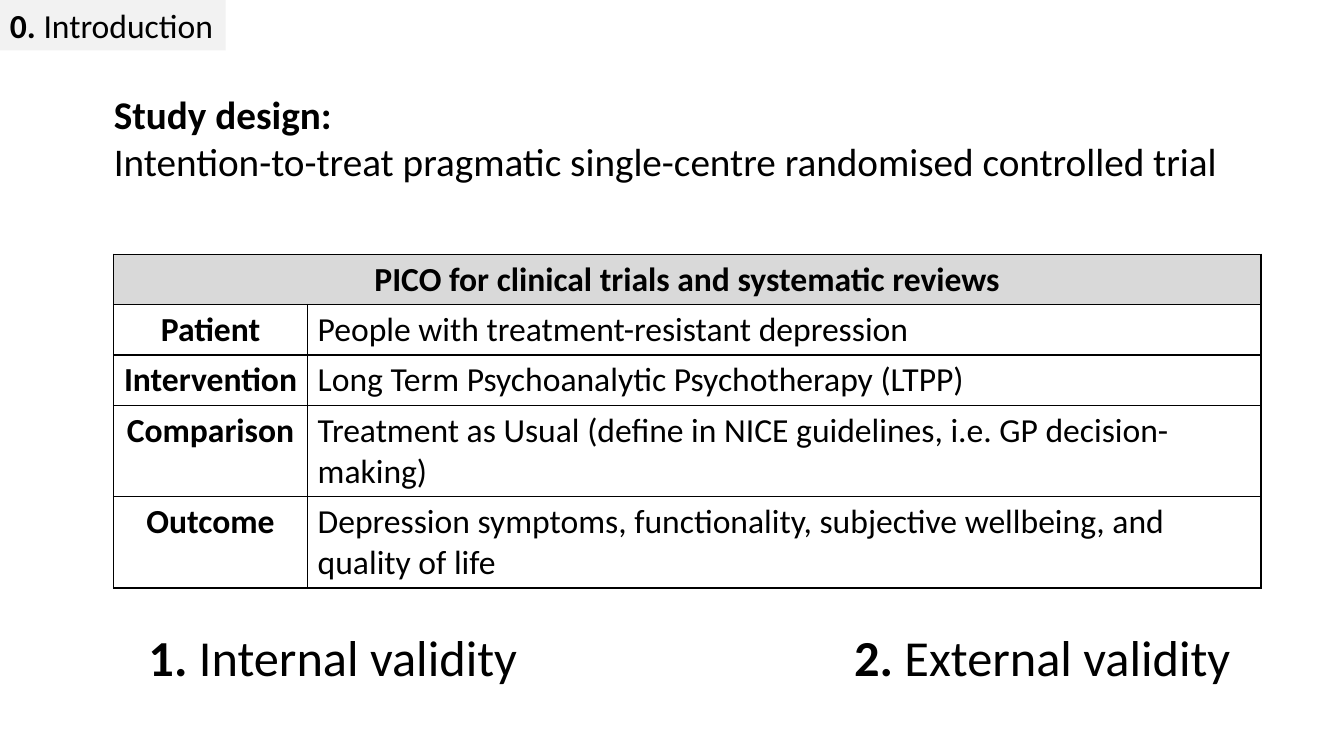
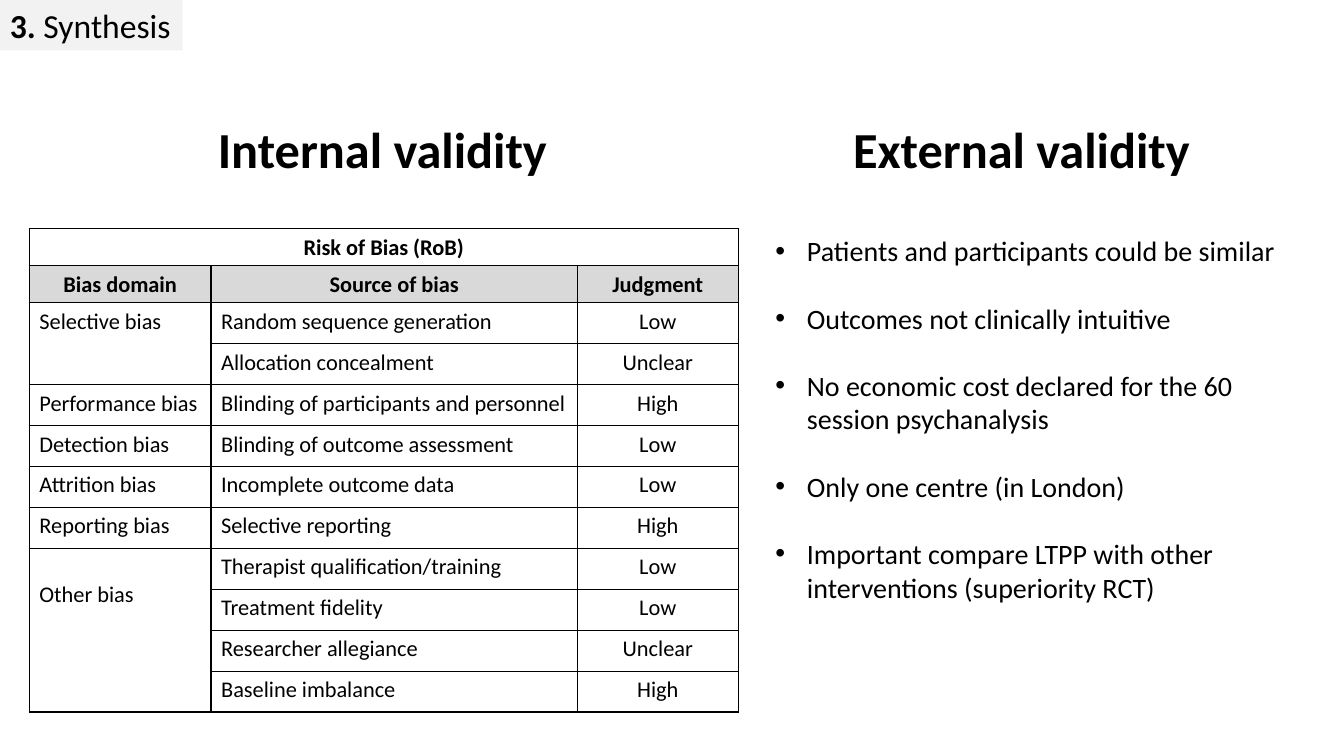
"""Builds two slides on the study design and the validity of a depression trial."""
from lxml import etree
from pptx import Presentation
from pptx import util as u
from pptx.dml.color import RGBColor
from pptx.enum import shapes, text
from pptx.oxml.ns import qn

PX = 9525
FONT = "Calibri"
BLACK, TAB_GREY, HEADER_GREY = "000000", "F2F2F2", "D9D9D9"
TAB_SIZE, HEADING_SIZE = 24, 36
HEADING_HEIGHT = 68
BULLET_INDENT = 30
BULLET_GAP = 24

INTRODUCTION = {
    "tab": ("0. ", "Introduction", 215),
    "headings": [
        ((132, 592, 385), [("1. ", True), ("Internal validity", False)]),
        ((804, 592, 392), [("2. ", True), ("External validity", False)]),
    ],
    "table": {
        "corner": (108, 242),
        "columns": [185, 908],
        "heights": [48, 48, 48, 87, 87],
        "size": 24,
        "merges": [(0, 0, 0, 1)],
        "grey_row": 0,
        "bold": lambda row, column: row == 0 or column == 0,
        "centred": lambda row, column: row == 0 or column == 0,
        "rows": [
            ("PICO for clinical trials and systematic reviews", ""),
            ("Patient", "People with treatment-resistant depression"),
            ("Intervention", "Long Term Psychoanalytic Psychotherapy (LTPP)"),
            ("Comparison", "Treatment as Usual (define in NICE guidelines, i.e. GP decision-making)"),
            ("Outcome", "Depression symptoms, functionality, subjective wellbeing, and quality of life"),
        ],
    },
}
STUDY_DESIGN = [
    [("Study design:", True)],
    [("Intention-to-treat pragmatic single-centre randomised controlled trial", False)],
]

SYNTHESIS = {
    "tab": ("3. ", "Synthesis", 174),
    "headings": [
        ((198, 108, 336), [("Internal validity", True)]),
        ((803, 108, 347), [("External validity", True)]),
    ],
    "table": {
        "corner": (28, 218),
        "columns": [173, 349, 153],
        "heights": [35] * 2 + [39] * 10,
        "size": 16,
        "merges": [(0, 0, 0, 2), (2, 0, 3, 0), (8, 0, 11, 0)],
        "grey_row": 1,
        "bold": lambda row, column: row < 2,
        "centred": lambda row, column: row < 2 or column == 2,
        "rows": [
            ("Risk of Bias (RoB)", "", ""),
            ("Bias domain", "Source of bias", "Judgment"),
            ("Selective bias", "Random sequence generation", "Low"),
            ("", "Allocation concealment", "Unclear"),
            ("Performance bias", "Blinding of participants and personnel", "High"),
            ("Detection bias", "Blinding of outcome assessment", "Low"),
            ("Attrition bias", "Incomplete outcome data", "Low"),
            ("Reporting bias", "Selective reporting", "High"),
            ("Other bias", "Therapist qualiﬁcation/training", "Low"),
            ("", "Treatment ﬁdelity", "Low"),
            ("", "Researcher allegiance", "Unclear"),
            ("", "Baseline imbalance", "High"),
        ],
    },
}
EXTERNAL_POINTS = [
    "Patients and participants could be similar",
    "Outcomes not clinically intuitive",
    "No economic cost declared for the 60 session psychanalysis",
    "Only one centre (in London)",
    "Important compare LTPP with other interventions (superiority RCT)",
]


def px(*lengths):
    return [u.Emu(length * PX) for length in lengths]


def colour(value):
    return RGBColor.from_string(value)


def style_run(run, size, bold):
    run.font.name = FONT
    run.font.size = u.Pt(size)
    run.font.bold = bold
    run.font.color.rgb = colour(BLACK)


def write(frame, lines, size, wrap=False):
    frame.word_wrap = wrap
    frame.auto_size = text.MSO_AUTO_SIZE.SHAPE_TO_FIT_TEXT
    for index, pieces in enumerate(lines):
        line = frame.paragraphs[0] if index == 0 else frame.add_paragraph()
        line.alignment = text.PP_ALIGN.LEFT
        for words, bold in pieces:
            run = line.add_run()
            run.text = words
            style_run(run, size, bold)


def add_text(slide, area, lines, size, wrap=False):
    frame = slide.shapes.add_textbox(*px(*area)).text_frame
    write(frame, lines, size, wrap)
    return frame


def add_tab(slide, number, section, width):
    tab = slide.shapes.add_shape(shapes.MSO_SHAPE.RECTANGLE, *px(0, 0, width, 48))
    tab.shadow.inherit = False
    tab.fill.solid()
    tab.fill.fore_color.rgb = colour(TAB_GREY)
    tab.line.fill.background()
    write(tab.text_frame, [[(number, True), (section, False)]], TAB_SIZE)


def add_borders(cell):
    properties = cell._tc.get_or_add_tcPr()
    for side in ("a:lnL", "a:lnR", "a:lnT", "a:lnB"):
        border = etree.SubElement(properties, qn(side), w=str(u.Pt(1)))
        fill = etree.SubElement(border, qn("a:solidFill"))
        etree.SubElement(fill, qn("a:srgbClr"), val=BLACK)


def add_table(slide, content):
    rows, columns, heights = content["rows"], content["columns"], content["heights"]
    area = px(*content["corner"], sum(columns), sum(heights))
    table = slide.shapes.add_table(len(rows), len(columns), *area).table
    table.first_row = table.horz_banding = False
    for column, width in zip(table.columns, columns):
        column.width = u.Emu(width * PX)
    for row, height in zip(table.rows, heights):
        row.height = u.Emu(height * PX)
    for top, left, bottom, right in content["merges"]:
        table.cell(top, left).merge(table.cell(bottom, right))
    for r, row in enumerate(rows):
        for c, words in enumerate(row):
            cell = table.cell(r, c)
            add_borders(cell)
            if r == content["grey_row"]:
                cell.fill.solid()
                cell.fill.fore_color.rgb = colour(HEADER_GREY)
            else:
                cell.fill.background()
            line = cell.text_frame.paragraphs[0]
            line.text = words
            line.font.size = u.Pt(content["size"])
            centred = content["centred"](r, c)
            line.alignment = text.PP_ALIGN.CENTER if centred else text.PP_ALIGN.LEFT
            for run in line.runs:
                style_run(run, content["size"], content["bold"](r, c))
    return table


def add_bullets(slide, area, points, size):
    frame = add_text(slide, area, [[(point, False)] for point in points], size, wrap=True)
    for index, line in enumerate(frame.paragraphs):
        properties = line._p.get_or_add_pPr()
        properties.set("marL", str(BULLET_INDENT * PX))
        properties.set("indent", str(-BULLET_INDENT * PX))
        etree.SubElement(properties, qn("a:buFont"), typeface="Arial")
        etree.SubElement(properties, qn("a:buChar"), char="•")
        if index:
            line.space_before = u.Pt(BULLET_GAP)


def add_section(deck, content):
    slide = deck.slides.add_slide(deck.slide_layouts[6])
    add_tab(slide, *content["tab"])
    for place, pieces in content["headings"]:
        add_text(slide, (*place, HEADING_HEIGHT), [pieces], HEADING_SIZE)
    return slide, add_table(slide, content["table"])


def main():
    deck = Presentation()
    deck.slide_width, deck.slide_height = px(1280, 720)
    introduction, _ = add_section(deck, INTRODUCTION)
    add_text(introduction, (99, 81, 1097, 100), STUDY_DESIGN, 28, wrap=True)
    synthesis, bias_table = add_section(deck, SYNTHESIS)
    bias_table.cell(8, 0).margin_top = u.Emu(31 * PX)
    add_bullets(synthesis, (729, 218, 496, 365), EXTERNAL_POINTS, 20)
    deck.save("out.pptx")


if __name__ == "__main__":
    main()
